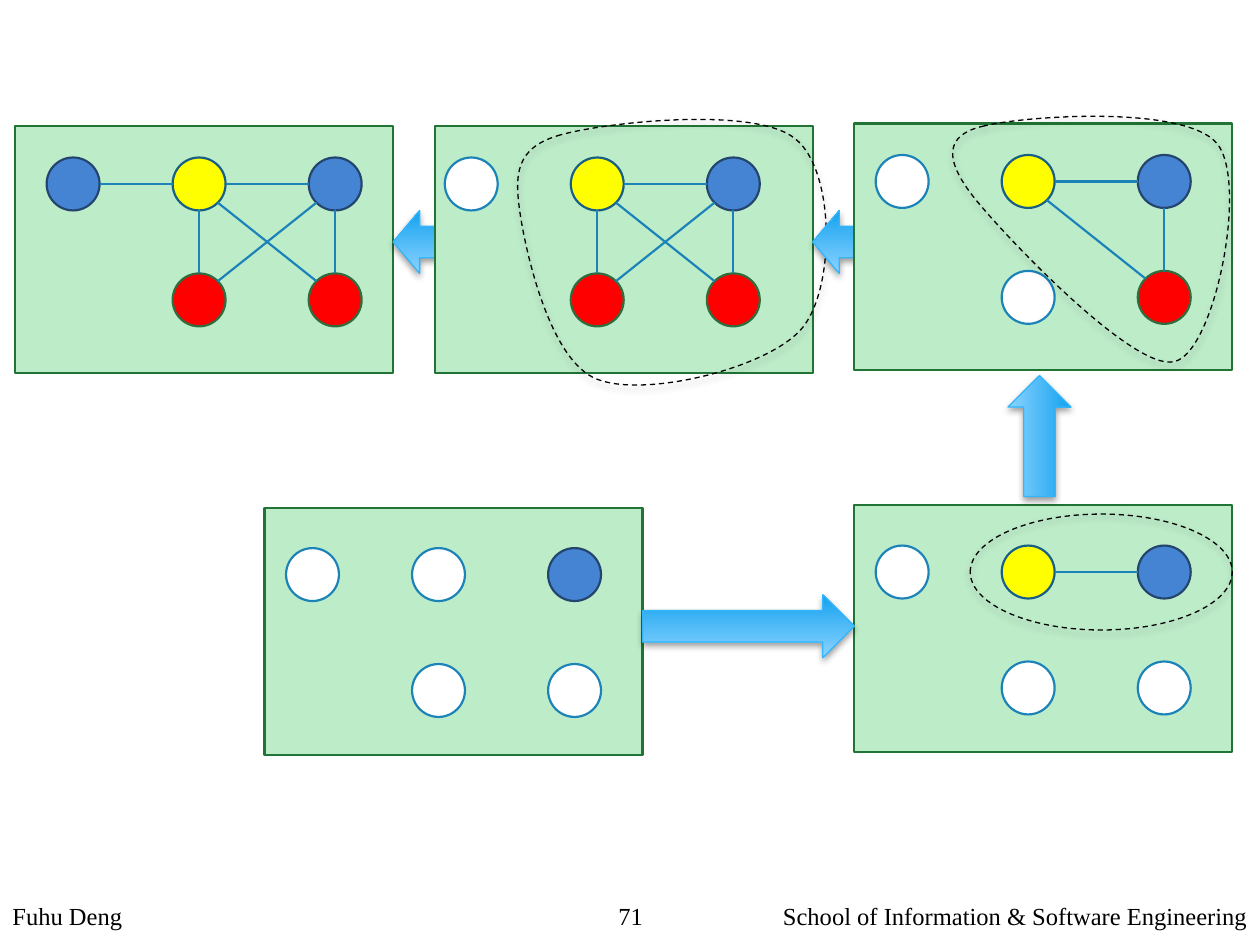
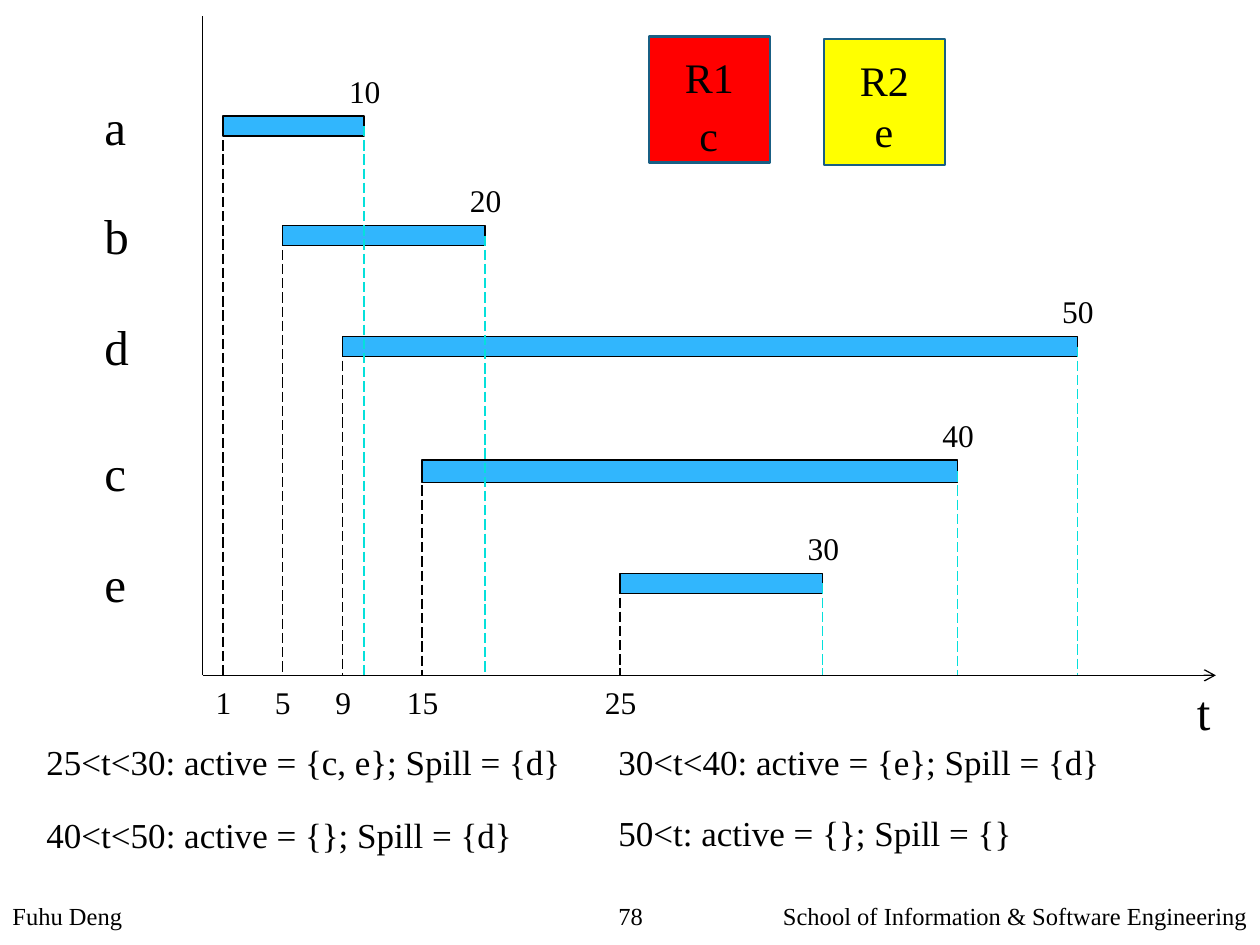
from math import hypot

from lxml.etree import SubElement
from pptx import Presentation
from pptx.dml.color import RGBColor
from pptx.enum.dml import MSO_LINE
from pptx.enum.shapes import MSO_CONNECTOR, MSO_SHAPE
from pptx.enum.text import MSO_ANCHOR, PP_ALIGN
from pptx.oxml.ns import qn
from pptx.util import Pt

PX = 9144  # EMU in one px, 100 px to the inch
FONT = "Times New Roman"
LEFT, MID, RIGHT = PP_ALIGN.LEFT, PP_ALIGN.CENTER, PP_ALIGN.RIGHT
COLORS = {
    "ink": "000000",
    "panel": "BDECC9", "panel rim": "217436",
    "edge": "1C83B9",
    "bar": "31B6FD", "end": "05E0DB",
    "light": "8CD3FF", "deep": "14A2EF",
    "W": "FFFFFF", "W rim": "1C83B9",
    "B": "4584D3", "B rim": "24456E",
    "Y": "FFFF00", "Y rim": "195F84",
    "R": "FF0000", "R rim": "2F6D3F",
}
NODE = 42
# Place of each node of the graph, from the first node's corner
SPOTS = {"a": (0, 0), "b": (100, 0), "c": (208, 0), "d": (100, 92), "e": (208, 92)}
FLOOR = 536  # time axis

# name, name top, bar top, bar height, left, right, start, end
SPANS = [
    ("a", 72, 92, 16, 177, 289, "1", "10"),
    ("b", 158, 179, 16, 224, 385, "5", "20"),
    ("d", 246, 267, 16, 272, 855, "9", "50"),
    ("c", 346, 365, 18, 335, 760, "15", "40"),
    ("e", 434, 455, 16, 492, 653, "25", "30"),
]
STATES = [
    ("25<t<30: active = {c, e}; Spill = {d}", 27, 583, 433),
    ("30<t<40: active = {e}; Spill = {d}", 481, 583, 406),
    ("40<t<50: active = {}; Spill = {d}", 27, 641, 392),
    ("50<t: active = {}; Spill = {}", 481, 639, 334),
]


def rgb(name):
    return RGBColor.from_string(COLORS[name])


def emu(*lengths):
    return [round(n * PX) for n in lengths]


def stroke(line, color, width, dash=None):
    line.color.rgb = rgb(color)
    line.width = Pt(width)
    if dash:
        line.dash_style = dash


def draw(shapes, kind, box, fill, rim, width):
    """Add a flat preset shape; fill None leaves it hollow."""
    shape = shapes.add_shape(kind, *emu(*box))
    shape.shadow.inherit = False
    if fill:
        shape.fill.solid()
        shape.fill.fore_color.rgb = rgb(fill)
    else:
        shape.fill.background()
    stroke(shape.line, rim, width)
    return shape


def link(shapes, start, stop, color, width, dash=None, arrow=False):
    line = shapes.add_connector(MSO_CONNECTOR.STRAIGHT, *emu(*start, *stop))
    stroke(line.line, color, width, dash)
    props = line.element.spPr
    if arrow:
        SubElement(props.find(qn("a:ln")), qn("a:tailEnd"), type="arrow")
    SubElement(props, qn("a:effectLst"))


def write(frame, text, size, align):
    para = frame.paragraphs[0]
    para.alignment = align
    run = para.add_run()
    run.text = text
    run.font.name = FONT
    run.font.size = Pt(size)
    run.font.color.rgb = rgb("ink")


def label(shapes, text, box, size, align=LEFT, wrap=False):
    frame = shapes.add_textbox(*emu(*box)).text_frame
    frame.word_wrap = wrap
    write(frame, text, size, align)


def tick(shapes, text, center, top):
    """Write a time centred on a point of the axis."""
    width = 21 + 12 * len(text)
    label(shapes, text, (center - width // 2, top, width, 40), 18, MID)


def shade(shape):
    """Give the shape a soft shadow straight below it."""
    shape.shadow.inherit = False
    effects = shape.element.spPr.find(qn("a:effectLst"))
    outer = SubElement(effects, qn("a:outerShdw"), blurRad=str(Pt(4)),
                       dist=str(Pt(2)), dir="5400000", rotWithShape="0")
    black = SubElement(outer, qn("a:srgbClr"), val=COLORS["ink"])
    SubElement(black, qn("a:alpha"), val="38000")


def arrow(shapes, box, turn, flip=False):
    shape = draw(shapes, MSO_SHAPE.RIGHT_ARROW, box, None, "bar", 0.75)
    shape.fill.gradient()
    shape.fill.gradient_angle = 270
    for stop, name in zip(shape.fill.gradient_stops, ("light", "deep")):
        stop.color.rgb = rgb(name)
    shape.rotation = turn
    if flip:
        shape.element.spPr.xfrm.set("flipH", "1")
    shade(shape)


def loop(shapes, start, points):
    """Draw a dashed closed curve; each three points make one Bezier part."""
    pen = shapes.build_freeform(*start, scale=PX)
    pen.add_line_segments(points, close=True)
    shape = pen.convert_to_shape()
    steps = shape.element.xpath(".//a:lnTo")
    for i in range(0, len(steps), 3):
        curve = steps[i].makeelement(qn("a:cubicBezTo"))
        steps[i].addprevious(curve)
        for step in steps[i:i + 3]:
            curve.append(step[0])
            step.getparent().remove(step)
    shape.fill.background()
    stroke(shape.line, "ink", 0.75, MSO_LINE.DASH)
    shade(shape)


def edge(shapes, first, last):
    """Join two node centres, from rim to rim."""
    dx, dy = [(b > a) - (b < a) for a, b in zip(first, last)]
    reach = NODE / 2 / hypot(dx, dy)
    link(shapes, (first[0] + dx * reach, first[1] + dy * reach),
         (last[0] - dx * reach, last[1] - dy * reach), "edge", 1.25)


def panel(slide, corner, inset, colors, edges=""):
    """Draw one stage of the graph and return its group's shapes."""
    shapes = slide.shapes.add_group_shape().shapes
    draw(shapes, MSO_SHAPE.RECTANGLE, (*corner, 300, 196), "panel", "panel rim", 1.25)
    centers = {}
    for (name, (dx, dy)), color in zip(SPOTS.items(), colors):
        x, y = corner[0] + inset[0] + dx, corner[1] + inset[1] + dy
        draw(shapes, MSO_SHAPE.OVAL, (x, y, NODE, NODE), color, color + " rim", 1.25)
        centers[name] = (x + NODE / 2, y + NODE / 2)
    for first, last in edges.split():
        edge(shapes, centers[first], centers[last])
    return shapes


def footer(slide, number):
    for text, left, width, align in (
        ("School of Information & Software Engineering", 531, 469, RIGHT),
        ("Fuhu Deng", 0, 469, LEFT),
        (number, 469, 63, MID),
    ):
        label(slide.shapes, text, (left, 710, width, 40), 14, align, wrap=True)


def graph(slide):
    """Colour the graph stage by stage."""
    panel(slide, (210, 403), (17, 32), "WWBWW")

    full = panel(slide, (12, 100), (25, 25), "BYBRR", "ab bc bd cd be ce")
    arrow(full, (312, 167, 42, 50), 180)

    four = panel(slide, (345, 100), (8, 25), "WYBRR", "bc bd cd be ce")
    loop(four, (445, 107), [
        (409, 117), (408, 138), (413, 171), (418, 203), (437, 287), (474, 301),
        (512, 316), (611, 292), (637, 260), (663, 228), (663, 135), (631, 110),
        (599, 84), (481, 97), (445, 107)])
    arrow(four, (645, 167, 42, 50), 180)

    two = panel(slide, (678, 401), (17, 32), "WYBWW", "bc")
    ring = draw(two, MSO_SHAPE.OVAL, (770, 408, 208, 92), None, "ink", 0.75)
    ring.line.dash_style = MSO_LINE.DASH
    shade(ring)
    arrow(two, (510, 472, 168, 50), 180, flip=True)

    three = panel(slide, (678, 98), (17, 25), "WYBWR", "bc be ce")
    loop(three, (781, 100), [
        (749, 107), (749, 127), (774, 158), (799, 189), (900, 295), (932, 287),
        (964, 280), (991, 145), (966, 114), (940, 83), (813, 92), (781, 100)])
    arrow(three, (777, 321, 96, 50), 270)


def store(shapes, name, value, color, left, top, low):
    """Draw a register and the variable it holds."""
    box = draw(shapes, MSO_SHAPE.RECTANGLE, (left, top, 96, 100), color, "Y rim", 1.25)
    frame = box.text_frame
    frame.vertical_anchor = MSO_ANCHOR.TOP
    frame.margin_top = 12 * PX
    write(frame, name, 24, MID)
    label(shapes, value, (left + 30, low, 35, 50), 24, MID)


def spans(slide):
    """Chart the live spans with the registers and active sets."""
    shapes = slide.shapes
    for name, name_top, top, height, left, right, start, end in SPANS:
        draw(shapes, MSO_SHAPE.RECTANGLE, (left, top, right - left, height),
             "bar", "ink", 0.75)
        label(shapes, name, (73, name_top, 40, 57), 28)
        tick(shapes, start, left, 537)
        tick(shapes, end, right, top - 40)
    link(shapes, (161, FLOOR), (965, FLOOR), "ink", 0.75, arrow=True)
    link(shapes, (161, FLOOR), (161, 13), "ink", 0.75)
    label(shapes, "t", (940, 536, 31, 57), 28)
    for _, _, top, height, left, right, _, _ in SPANS:
        for x, color in ((left, "ink"), (right, "end")):
            link(shapes, (x, top + height // 2), (x, FLOOR), color, 0.75,
                 MSO_LINE.LONG_DASH)
    store(shapes, "R1", "c", "R", 515, 29, 82)
    store(shapes, "R2", "e", "Y", 654, 31, 79)
    for text, left, top, width in STATES:
        label(shapes, text, (left, top, width, 44), 20)


def main():
    deck = Presentation()
    deck.slide_width, deck.slide_height = emu(1000, 750)
    blank = deck.slide_layouts[6]
    for fill, number in ((graph, "71"), (spans, "78")):
        slide = deck.slides.add_slide(blank)
        footer(slide, number)
        fill(slide)
    deck.save("out.pptx")


if __name__ == "__main__":
    main()
